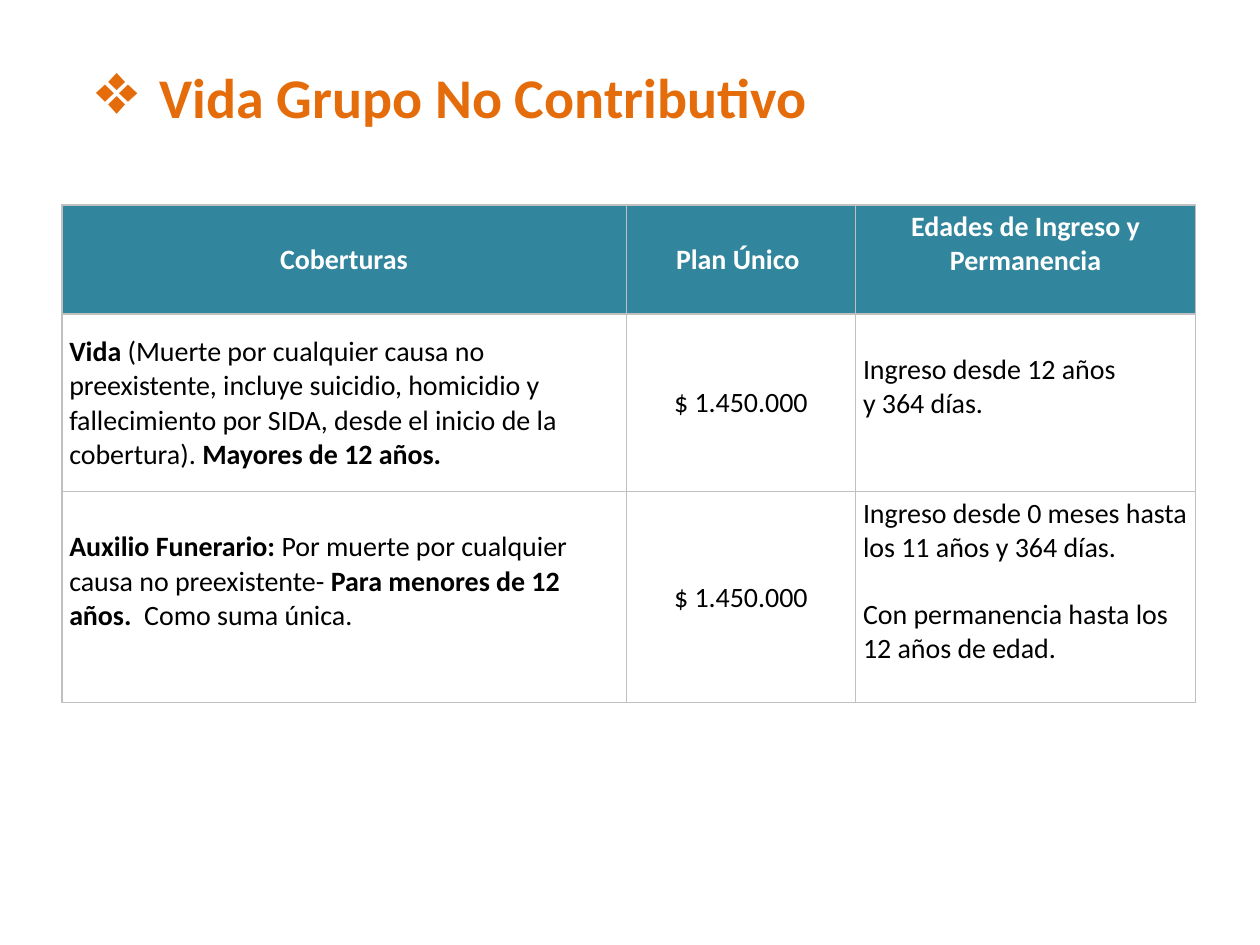
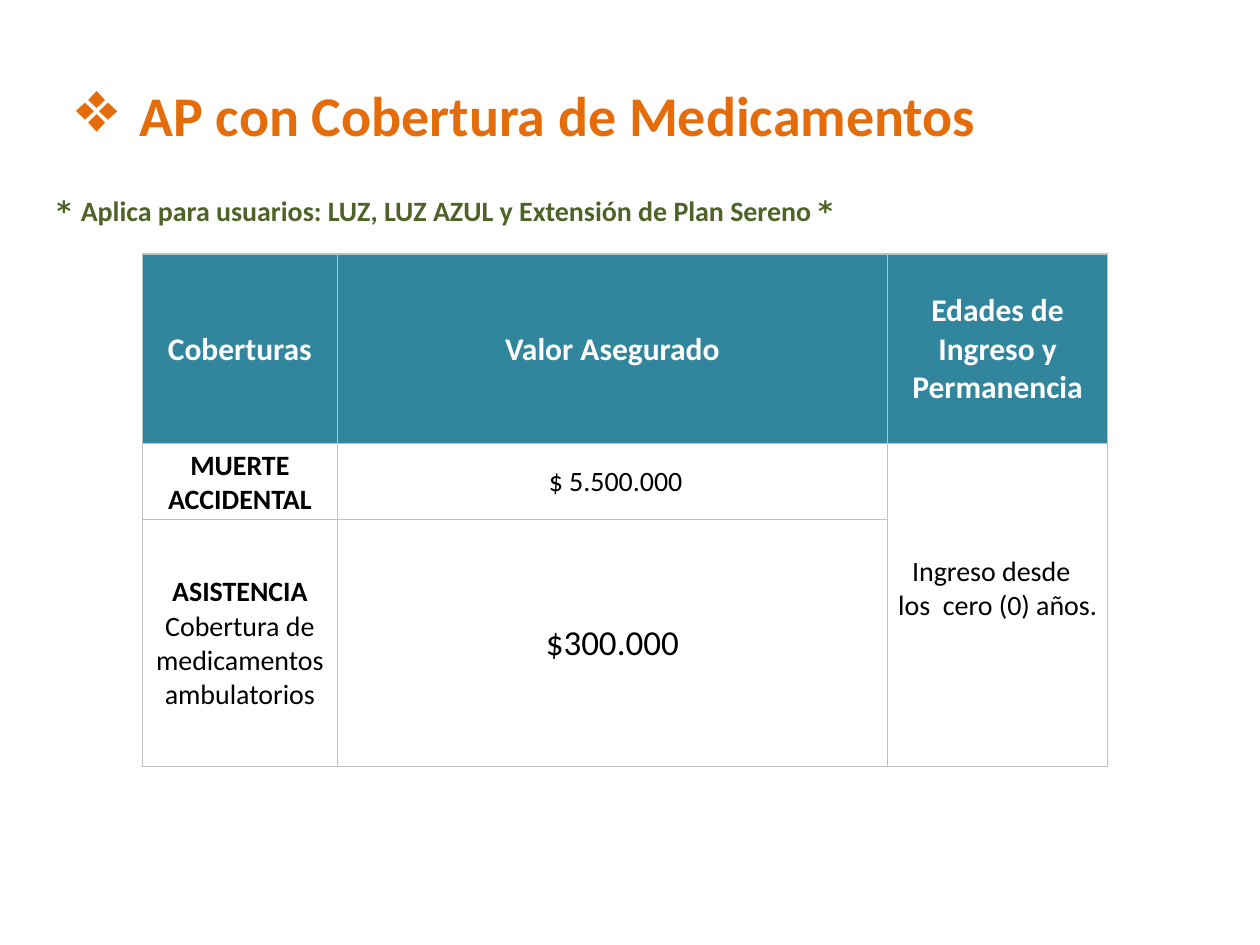
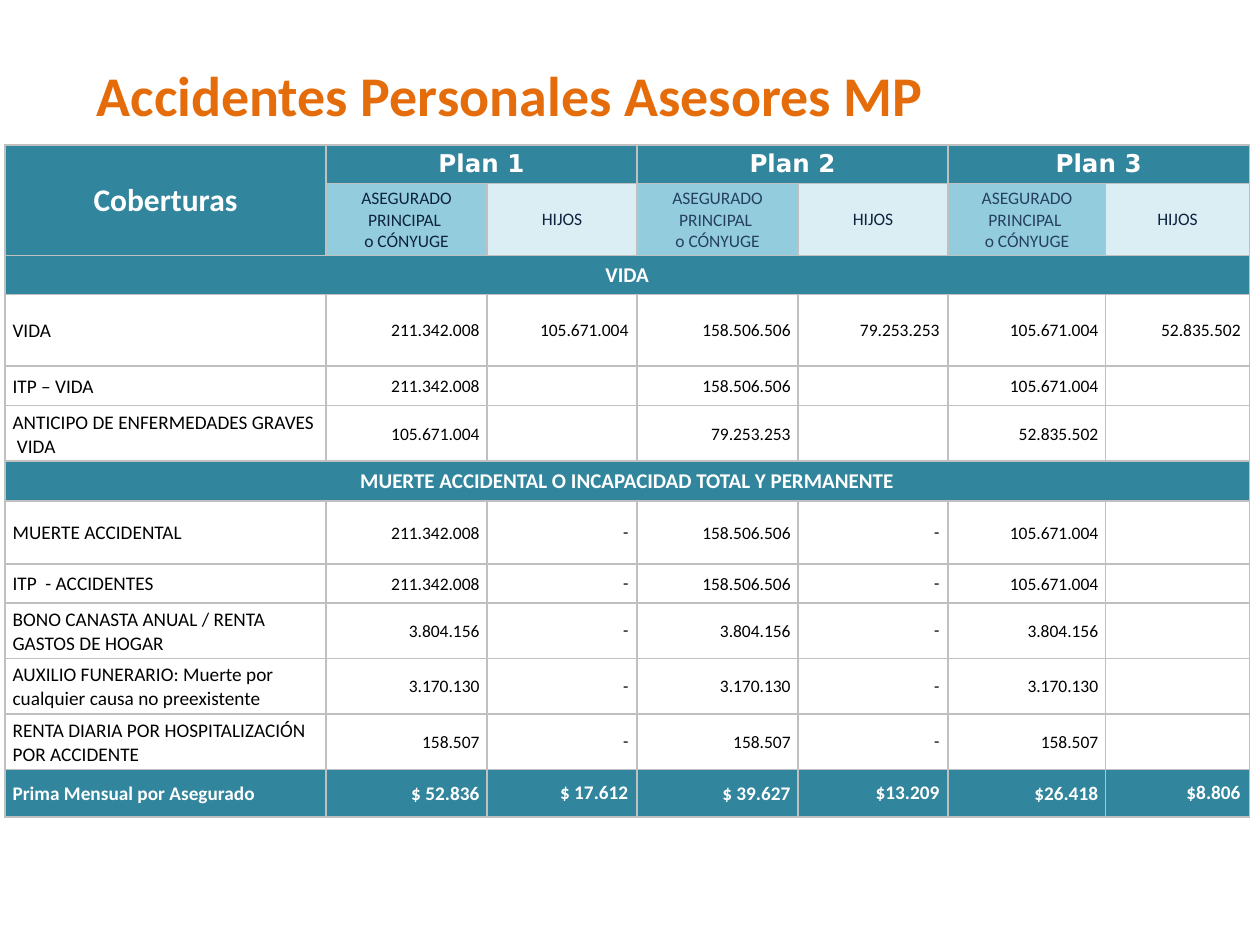
from dataclasses import dataclass, replace

from lxml import etree
from pptx import Presentation
from pptx.dml.color import RGBColor
from pptx.enum.text import MSO_ANCHOR, PP_ALIGN
from pptx.oxml.ns import qn
from pptx.util import Pt


@dataclass(frozen=True)
class Theme:
    font: str = "Calibri"
    accent_font: str = "DejaVu Sans"
    orange: str = "E46C0A"
    teal: str = "31859C"
    sky: str = "93CDDD"
    pale: str = "DBEEF4"
    navy: str = "0F243E"
    slate: str = "254061"
    olive: str = "4F6228"
    grid: str = "C0C0C0"
    white: str = "FFFFFF"
    black: str = "000000"
    title_size: int = 32
    large_size: int = 20
    heading_size: int = 18
    body_size: int = 16
    plan_size: int = 14
    section_size: int = 12
    label_size: int = 11
    figure_size: int = 10


THEME = Theme()
BLANK_LINE = 18.6  # height of one line of body text


@dataclass(frozen=True)
class CellStyle:
    size: int = THEME.body_size
    color: str = THEME.black
    bold: bool = False
    align: PP_ALIGN = PP_ALIGN.LEFT
    font: str = THEME.font
    fill: str | None = None
    anchor: MSO_ANCHOR = MSO_ANCHOR.MIDDLE
    margins: tuple = (4.3, 2.9, 4.3, 2.2)  # left, top, right, bottom
    gap: float = 0  # space between paragraphs


BODY = CellStyle()
BODY_RAISED = replace(BODY, margins=(4.3, 2.9, 4.3, 2.2 + BLANK_LINE))
AMOUNT = replace(BODY, align=PP_ALIGN.CENTER)
HEADER = replace(AMOUNT, color=THEME.white, bold=True, fill=THEME.teal)
BIG_HEADER = replace(HEADER, size=THEME.heading_size)
PLAN = replace(HEADER, size=THEME.plan_size, font=THEME.accent_font,
               anchor=MSO_ANCHOR.TOP)
SECTION = replace(HEADER, size=THEME.section_size)
LABEL = replace(BODY, size=THEME.label_size)
FIGURE = replace(BODY, size=THEME.figure_size, align=PP_ALIGN.RIGHT)
TOTAL = replace(LABEL, color=THEME.white, bold=True, fill=THEME.teal)
CHILD_MARGINS = (5, 0, 5, 0)


def set_font(font, size, color, bold, name):
    font.size = Pt(size)
    font.color.rgb = RGBColor.from_string(color)
    font.bold = bold
    font.name = name


def add_line(slide, left, top, width, height):
    """Add a wrapping text box and return its first paragraph."""
    frame = slide.shapes.add_textbox(Pt(left), Pt(top), Pt(width), Pt(height)).text_frame
    frame.word_wrap = True
    return frame.paragraphs[0]


def add_title(slide, text, left, top, width, bullet=None):
    title = add_line(slide, left, top, width, 46)
    title.text = text
    set_font(title.font, THEME.title_size, THEME.orange, True, THEME.font)
    if bullet:
        properties = title._p.get_or_add_pPr()
        properties.set("marL", str(Pt(36)))
        properties.set("indent", str(-Pt(36)))
        properties.insert(0, etree.Element(qn("a:buSzPct"), val="130000"))
        properties.insert(1, etree.Element(qn("a:buChar"), char=bullet))


def add_note(slide, text, left, top, width):
    """Add a line of text between two asterisks."""
    note = add_line(slide, left, top, width, 27)
    for part, name in (("* ", THEME.accent_font), (text, THEME.font),
                       ("*", THEME.accent_font)):
        run = note.add_run()
        run.text = part
        set_font(run.font, THEME.body_size, THEME.olive, True, name)


def draw_borders(cell):
    properties = cell._tc.get_or_add_tcPr()
    for position, side in enumerate(("lnL", "lnR", "lnT", "lnB")):
        border = etree.Element(qn(f"a:{side}"), w=str(Pt(1)))
        fill = etree.SubElement(border, qn("a:solidFill"))
        etree.SubElement(fill, qn("a:srgbClr"), val=THEME.grid)
        properties.insert(position, border)


def fill_cell(cell, style, *paragraphs):
    """Write paragraphs, each a string or a list of (text, bold) runs."""
    (cell.margin_left, cell.margin_top,
     cell.margin_right, cell.margin_bottom) = map(Pt, style.margins)
    cell.vertical_anchor = style.anchor
    if style.fill:
        cell.fill.solid()
        cell.fill.fore_color.rgb = RGBColor.from_string(style.fill)
    else:
        cell.fill.background()
    for index, content in enumerate(paragraphs or ("",)):
        frame = cell.text_frame
        paragraph = frame.add_paragraph() if index else frame.paragraphs[0]
        paragraph.alignment = style.align
        if index and style.gap:
            paragraph.space_before = Pt(style.gap)
        set_font(paragraph.font, style.size, style.color, style.bold, style.font)
        if isinstance(content, str):
            paragraph.text = content
        else:
            for text, bold in content:
                run = paragraph.add_run()
                run.text = text
                run.font.bold = bold
        if not content:
            etree.SubElement(paragraph._p, qn("a:endParaRPr"), sz=str(style.size * 100))


def add_grid(slide, left, top, widths, heights):
    """Add a table with plain grey borders and no banding."""
    table = slide.shapes.add_table(len(heights), len(widths), Pt(left), Pt(top),
                                   Pt(sum(widths)), Pt(sum(heights))).table
    table.first_row = table.horz_banding = False
    for column, width in zip(table.columns, widths):
        column.width = Pt(width)
    for row, height in zip(table.rows, heights):
        row.height = Pt(height)
    for cell in table.iter_cells():
        draw_borders(cell)
        cell.fill.background()
    return table


def fill_grid(table, rows):
    for r, row in enumerate(rows):
        for c, entry in enumerate(row):
            fill_cell(table.cell(r, c), *entry)


def build_group_life(slide):
    table = add_grid(slide, 35.3, 117, (322.6, 131, 194.4), (62.3, 101.7, 120))
    fill_grid(table, [
        [(HEADER, "Coberturas"),
         (HEADER, "Plan Único "),
         (replace(HEADER, anchor=MSO_ANCHOR.TOP), "Edades de Ingreso y Permanencia")],
        [(BODY, [("Vida", True),
                 (" (Muerte por cualquier causa no preexistente, incluye suicidio, "
                  "homicidio y fallecimiento por SIDA, desde el inicio de la "
                  "cobertura). ", False),
                 ("Mayores de 12 años.", True)]),
         (AMOUNT, "$ 1.450.000"),
         (BODY_RAISED, "Ingreso desde 12 años", "y 364 días.")],
        [(BODY_RAISED, [("Auxilio Funerario: ", True),
                        ("Por muerte por cualquier causa no preexistente- ", False),
                        ("Para menores de 12 años.", True),
                        ("  Como suma única.", False)]),
         (AMOUNT, "$ 1.450.000"),
         (replace(BODY_RAISED, gap=BLANK_LINE),
          "Ingreso desde 0 meses hasta los 11 años y 364 días.",
          "Con permanencia hasta los 12 años de edad.")],
    ])
    add_title(slide, "Vida Grupo No Contributivo", 48.2, 32.4, 607, "❖")


def build_medicines(slide):
    add_title(slide, "AP con Cobertura de Medicamentos", 36.7, 42.5, 669, "❖")
    table = add_grid(slide, 81.4, 145.2, (111.4, 314.4, 125.8), (108.3, 43.4, 141))
    table.cell(1, 2).merge(table.cell(2, 2))
    fill_grid(table, [
        [(BIG_HEADER, "Coberturas"),
         (BIG_HEADER, "Valor Asegurado"),
         (BIG_HEADER, "Edades de Ingreso y Permanencia")],
        [(replace(AMOUNT, bold=True), "MUERTE ACCIDENTAL"),
         (AMOUNT, " $ 5.500.000"),
         (replace(AMOUNT, margins=(5, 0, 5, BLANK_LINE)),
          "Ingreso desde  ", "los  cero (0) años.")],
        [(AMOUNT, [("ASISTENCIA", True)], "Cobertura de medicamentos ambulatorios"),
         (replace(AMOUNT, size=THEME.large_size), "$300.000")],
    ])
    add_note(slide, "Aplica para usuarios: LUZ, LUZ AZUL y Extensión de Plan Sereno ",
             25.2, 107.3, 663)


def add_plan_headers(table):
    table.cell(0, 0).merge(table.cell(1, 0))
    fill_cell(table.cell(0, 0), BIG_HEADER, "Coberturas")
    for plan in (1, 2, 3):
        adult, child = 2 * plan - 1, 2 * plan
        table.cell(0, adult).merge(table.cell(0, child))
        fill_cell(table.cell(0, adult), PLAN, f"Plan {plan}")
        adult_style = replace(AMOUNT, size=THEME.figure_size, fill=THEME.sky,
                              color=THEME.navy if plan == 1 else THEME.slate)
        fill_cell(table.cell(1, adult), adult_style, "ASEGURADO PRINCIPAL ", "o CÓNYUGE")
        child_style = replace(adult_style, fill=THEME.pale, color=THEME.navy,
                              margins=CHILD_MARGINS)
        fill_cell(table.cell(1, child), child_style, "HIJOS")


def add_section(table, row, text):
    table.cell(row, 0).merge(table.cell(row, 6))
    fill_cell(table.cell(row, 0), SECTION, text)


def add_coverage(table, row, label, figures, label_style=LABEL, figure_style=FIGURE):
    """Fill one row; even columns hold the children's figures."""
    fill_cell(table.cell(row, 0), label_style, label)
    for column, figure in enumerate(figures, 1):
        style = figure_style
        if column % 2 == 0:
            style = replace(style, margins=CHILD_MARGINS)
        fill_cell(table.cell(row, column), style, figure)


def build_personal_accidents(slide):
    table = add_grid(slide, 2.9, 82.8, (183.4, 92, 85.8, 92, 85.8, 90, 82.1),
                     (21.7, 41.1, 22.3, 41.1, 22.6, 31.7, 22.9, 36, 22.3,
                      31.4, 31.7, 31.7, 27.4))
    full, half, quarter = "211.342.008", "105.671.004", "52.835.502"
    middle, middle_half = "158.506.506", "79.253.253"
    add_plan_headers(table)
    add_section(table, 2, "VIDA")
    add_coverage(table, 3, "VIDA", (full, half, middle, middle_half, half, quarter))
    add_coverage(table, 4, "ITP – VIDA", (full, "", middle, "", half, ""))
    add_coverage(table, 5, "ANTICIPO DE ENFERMEDADES GRAVES  VIDA",
                 (half, "", middle_half, "", quarter, ""))
    add_section(table, 6, "MUERTE ACCIDENTAL O INCAPACIDAD TOTAL Y PERMANENTE")
    accident_coverages = (
        ("MUERTE ACCIDENTAL", full, middle, half),
        ("ITP  - ACCIDENTES", full, middle, half),
        ("BONO CANASTA ANUAL / RENTA GASTOS DE HOGAR", *["3.804.156"] * 3),
        ("AUXILIO FUNERARIO: Muerte por cualquier causa no preexistente",
         *["3.170.130"] * 3),
        ("RENTA DIARIA POR HOSPITALIZACIÓN POR ACCIDENTE", *["158.507"] * 3),
    )
    for row, (label, plan_1, plan_2, plan_3) in enumerate(accident_coverages, 7):
        add_coverage(table, row, label, (plan_1, "-", plan_2, "-", plan_3, ""))
    add_coverage(table, 12, "Prima Mensual por Asegurado",
                 ("$ 52.836", "$ 17.612", "$ 39.627", "$13.209", "$26.418", "$8.806"),
                 TOTAL, replace(TOTAL, align=PP_ALIGN.RIGHT))
    add_title(slide, "Accidentes Personales Asesores MP", 48.2, 31, 635)


def main():
    presentation = Presentation()
    presentation.slide_width, presentation.slide_height = Pt(720), Pt(540)
    blank = presentation.slide_layouts[6]
    for build in (build_group_life, build_medicines, build_personal_accidents):
        build(presentation.slides.add_slide(blank))
    presentation.save("out.pptx")


if __name__ == "__main__":
    main()
